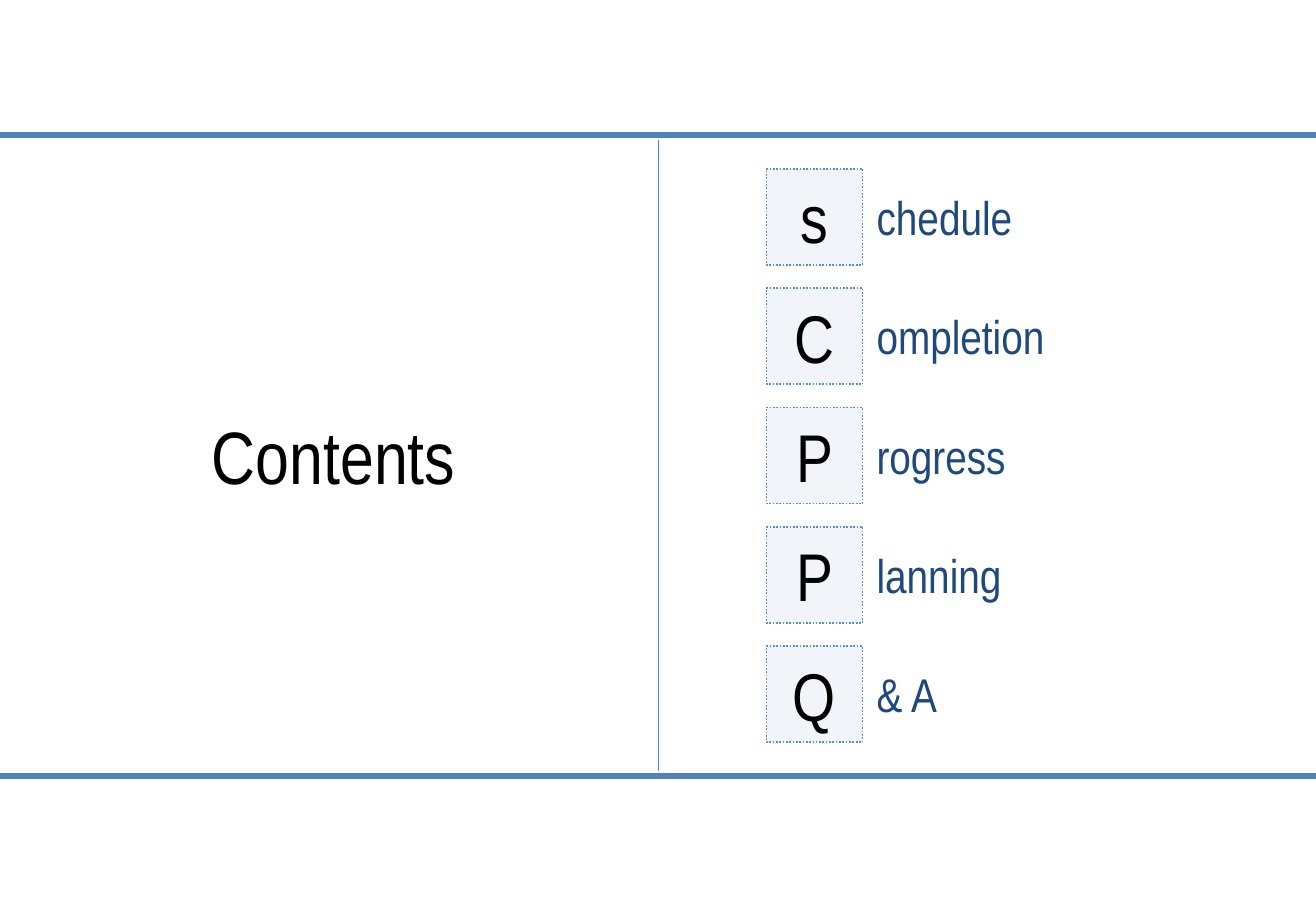
from lxml import etree
from pptx import Presentation
from pptx.dml.color import RGBColor
from pptx.enum.dml import MSO_LINE as Dash
from pptx.enum.shapes import MSO_CONNECTOR as Link, MSO_SHAPE as Kind
from pptx.enum.text import MSO_ANCHOR as Anchor, MSO_AUTO_SIZE as Fit, PP_ALIGN as Align
from pptx.oxml.ns import qn
from pptx.util import Pt

COLORS = {
    "white": "FFFFFF",
    "black": "000000",
    "blue": "4F81BD",
    "navy": "1F497D",
    "tile": "DCE6F2",
    "edge": "558ED5",
}
ITEMS = [("s", "chedule"), ("C", "ompletion"), ("P", "rogress"),
         ("P", "lanning"), ("Q", "& A")]
TOP, SIDE, STEP = 100, 57, 70.75


def write(shape, text, size, color, align, anchor):
    frame = shape.text_frame
    frame.word_wrap = True
    frame.vertical_anchor = anchor
    para = frame.paragraphs[0]
    para.alignment = align
    run = para.add_run()
    run.text = text
    run.font.name = "Arial Narrow"
    run.font.size = Pt(size)
    run.font.color.rgb = RGBColor.from_string(COLORS[color])


def add_box(left, top, width, height, fill, edge, weight):
    box = slide.shapes.add_shape(Kind.RECTANGLE, Pt(left), Pt(top), Pt(width), Pt(height))
    box.shadow.inherit = False
    box.fill.solid()
    box.fill.fore_color.rgb = RGBColor.from_string(COLORS[fill])
    box.line.color.rgb = RGBColor.from_string(COLORS[edge])
    box.line.width = Pt(weight)
    return box


deck = Presentation()
deck.slide_width, deck.slide_height = Pt(780), Pt(540)
slide = deck.slides.add_slide(deck.slide_layouts[6])

# Band and title
add_box(-3.5, 80, 787, 380, "white", "blue", 4)
title = slide.shapes.add_textbox(Pt(62), Pt(224.5), Pt(271.5), Pt(90))
write(title, "Contents", 44, "black", Align.CENTER, Anchor.MIDDLE)

# Initial tiles with the rest of each word
for i, (first, rest) in enumerate(ITEMS):
    top = TOP + i * STEP
    tile = add_box(454.25, top, SIDE, SIDE, "tile", "edge", 1)
    tile.line.dash_style = Dash.ROUND_DOT
    tint = tile.fill._xPr.find(".//" + qn("a:srgbClr"))
    etree.SubElement(tint, qn("a:alpha"), val="40000")
    write(tile, first, 40, "black", Align.CENTER, Anchor.MIDDLE)

    label = slide.shapes.add_textbox(Pt(512.5), Pt(top + 8), Pt(132.5), Pt(41))
    write(label, rest, 28, "navy", Align.LEFT, Anchor.TOP)
    label.text_frame.auto_size = Fit.SHAPE_TO_FIT_TEXT

# Divider
rule = slide.shapes.add_connector(Link.STRAIGHT, Pt(390), Pt(83), Pt(390), Pt(457))
rule.line.color.rgb = RGBColor.from_string(COLORS["blue"])
rule.line.width = Pt(0.5)
etree.SubElement(rule._element.spPr, qn("a:effectLst"))

deck.save("out.pptx")
